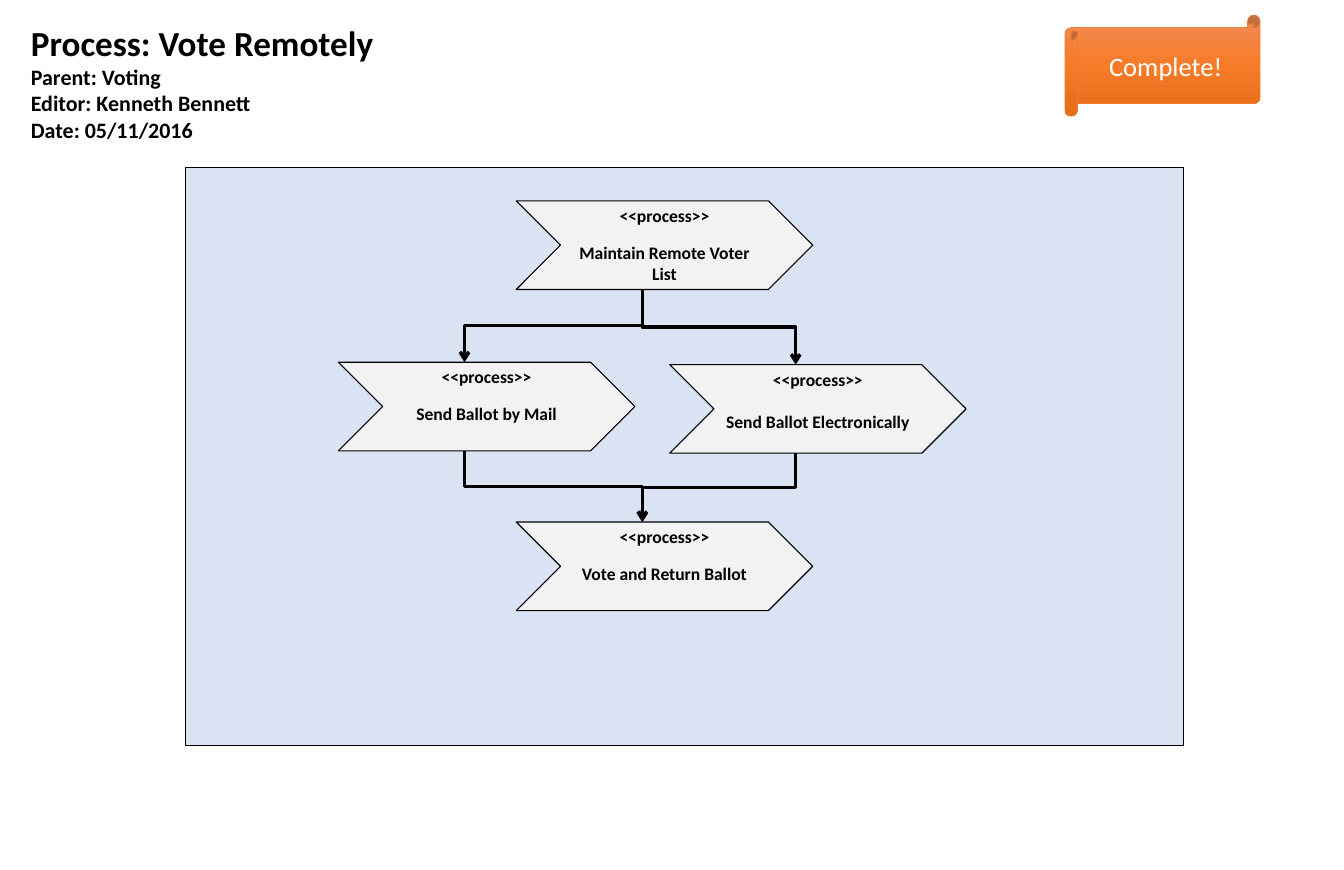
from copy import deepcopy

from lxml.etree import SubElement
from pptx import Presentation
from pptx.dml.color import RGBColor
from pptx.enum.shapes import MSO_CONNECTOR, MSO_SHAPE
from pptx.enum.text import MSO_ANCHOR, MSO_AUTO_SIZE, PP_ALIGN
from pptx.oxml.ns import qn
from pptx.util import Inches, Pt

COLOURS = {
    "ink": "000000",
    "panel": "DAE3F3",
    "process": "F2F2F2",
    "scroll_line": "ED7D31",
    "scroll_text": "FFFFFF",
}
SCROLL_GRADIENT = [(0, "F18C57"), (0.5, "F67B28"), (1, "E56C19")]
CHEVRON_WIDTH, CHEVRON_HEIGHT = 3.75, 1.12
PORT_OFFSET = (CHEVRON_WIDTH - CHEVRON_HEIGHT / 2) / 2
TOP, BOTTOM = 0, 2


def colour(name):
    """Return the named colour."""
    return RGBColor.from_string(COLOURS[name])


class ProcessSlide:
    """Draws the elements of a process diagram in one style."""

    def __init__(self, page, font="Calibri"):
        """Keep the slide and the font."""
        self.page = page
        self.font = font

    def format_text(self, paragraph, size, ink="ink", bold=True, align=PP_ALIGN.CENTER):
        """Align a paragraph and format its runs."""
        paragraph.alignment = align
        for span in paragraph.runs:
            span.font.name = self.font
            span.font.size = Pt(size)
            span.font.bold = bold
            span.font.color.rgb = colour(ink)

    def heading(self, lines, left, top, width, height):
        """Fill the title placeholder with a title and its details."""
        box = self.page.shapes.title
        box.left, box.top = Inches(left), Inches(top)
        box.width, box.height = Inches(width), Inches(height)
        frame = box.text_frame
        frame.text = "\n".join(lines)
        frame.word_wrap = True
        frame.auto_size = MSO_AUTO_SIZE.NONE
        frame.vertical_anchor = MSO_ANCHOR.TOP
        for index, para in enumerate(frame.paragraphs):
            self.format_text(para, 20 if index else 32, align=PP_ALIGN.LEFT)

    def shape(self, kind, left, top, width, height, fill=None, line="ink", weight=1):
        """Add a preset shape with a plain outline."""
        box = self.page.shapes.add_shape(
            kind, Inches(left), Inches(top), Inches(width), Inches(height))
        box.shadow.inherit = False
        if fill:
            box.fill.solid()
            box.fill.fore_color.rgb = colour(fill)
        box.line.color.rgb = colour(line)
        box.line.width = Pt(weight)
        return box

    def process(self, name, left, top, gap=14.6):
        """Add a process chevron with its stereotype and name."""
        box = self.shape(MSO_SHAPE.CHEVRON, left, top,
                         CHEVRON_WIDTH, CHEVRON_HEIGHT, "process")
        frame = box.text_frame
        frame.word_wrap = True
        frame.vertical_anchor = MSO_ANCHOR.TOP
        frame.text = f"<<process>>\n{name}"
        for para in frame.paragraphs:
            self.format_text(para, 16)
        frame.paragraphs[1].space_before = Pt(gap)
        return box

    def flow(self, source, target):
        """Join two chevrons with a downward elbow arrow."""
        start_x = source.left + Inches(PORT_OFFSET)
        end_x = target.left + Inches(PORT_OFFSET)
        start_y, end_y = source.top + source.height, target.top
        arrow = self.page.shapes.add_connector(MSO_CONNECTOR.ELBOW, 0, 0, 0, 0)
        arrow.begin_connect(source, BOTTOM)
        arrow.end_connect(target, TOP)

        across, down = abs(end_x - start_x), end_y - start_y
        arrow.left = (start_x + end_x - down) // 2
        arrow.top = (start_y + end_y - across) // 2
        arrow.width, arrow.height = down, across
        rightward = end_x > start_x
        properties = arrow._element.spPr
        frame = properties.find(qn("a:xfrm"))
        frame.set("rot", str((270 if rightward else 90) * 60000))
        frame.set("flipH", str(int(rightward)))
        frame.set("flipV", "0")

        arrow.line.color.rgb = colour("ink")
        arrow.line.width = Pt(3)
        SubElement(properties.find(qn("a:ln")), qn("a:tailEnd"), type="arrow")
        SubElement(properties, qn("a:effectLst"))

    def scroll(self, label, left, top, width, height):
        """Add a status scroll with a vertical gradient."""
        box = self.shape(MSO_SHAPE.HORIZONTAL_SCROLL, left, top, width, height,
                         line="scroll_line", weight=0.5)
        box.fill.gradient()
        box.fill.gradient_angle = 270
        stops = box._element.spPr.find(".//" + qn("a:gsLst"))
        stops.append(deepcopy(stops[0]))
        for stop, (position, value) in zip(box.fill.gradient_stops, SCROLL_GRADIENT):
            stop.position = position
            stop.color.rgb = RGBColor.from_string(value)
        box.text_frame.text = label
        box.text_frame.vertical_anchor = MSO_ANCHOR.MIDDLE
        self.format_text(box.text_frame.paragraphs[0], 24.2, "scroll_text", bold=False)


def main():
    """Build the slide and save it."""
    deck = Presentation()
    deck.slide_width, deck.slide_height = Inches(17), Inches(11)
    slide = ProcessSlide(deck.slides.add_slide(deck.slide_layouts[5]))

    slide.heading(["Process: Vote Remotely", "Parent: Voting",
                   "Editor: Kenneth Bennett", "Date: 05/11/2016"],
                  0.29, 0.22, 12.5, 1.65)
    slide.shape(MSO_SHAPE.RECTANGLE, 2.35, 2.12, 12.62, 7.31, "panel")

    voter_list = slide.process("Maintain Remote Voter List", 6.53, 2.54)
    by_mail = slide.process("Send Ballot by Mail", 4.28, 4.58)
    electronic = slide.process("Send Ballot Electronically", 8.47, 4.61, gap=19.5)
    return_ballot = slide.process("Vote and Return Ballot", 6.53, 6.6)

    for delivery in (electronic, by_mail):
        slide.flow(voter_list, delivery)
        slide.flow(delivery, return_ballot)

    slide.scroll("Complete!", 13.47, 0.19, 2.47, 1.28)
    deck.save("out.pptx")


if __name__ == "__main__":
    main()
